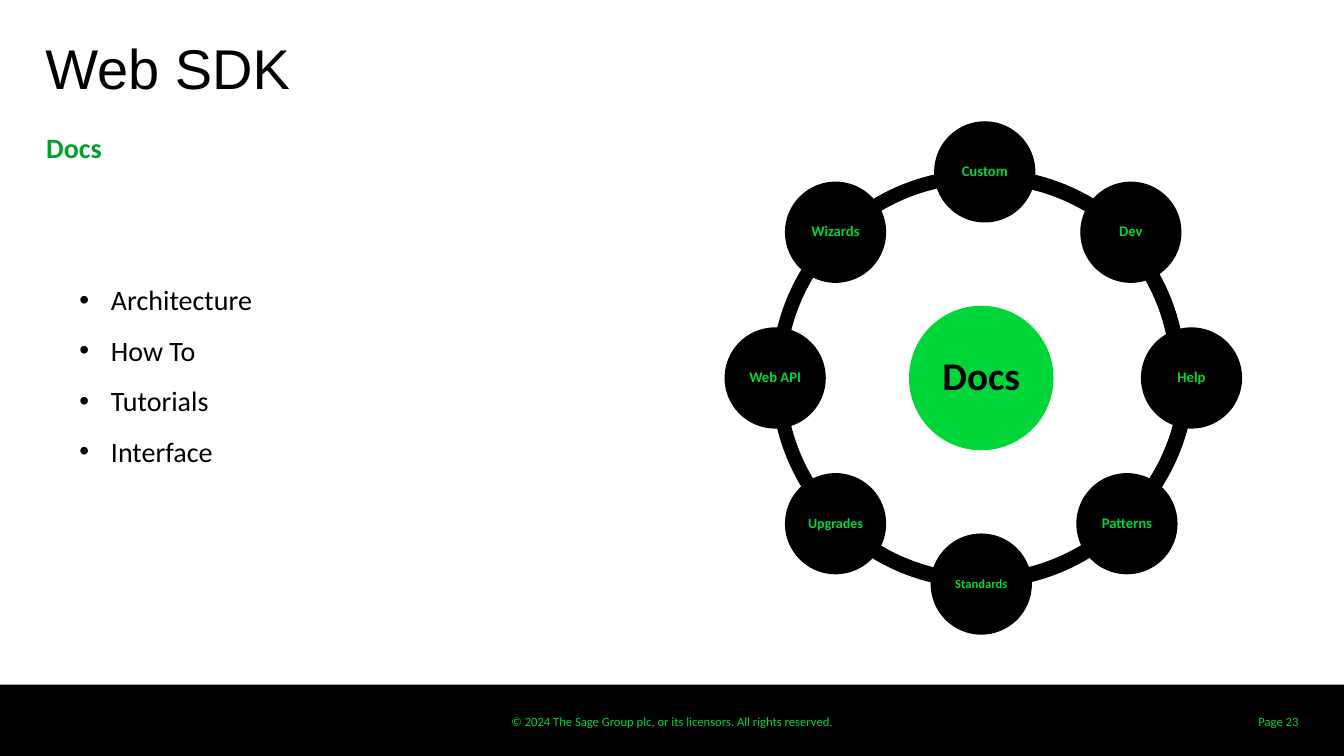
from dataclasses import dataclass
from math import cos, radians, sin

from lxml.etree import SubElement
from pptx import Presentation
from pptx.dml.color import RGBColor
from pptx.enum.shapes import MSO_SHAPE as Preset
from pptx.enum.text import MSO_ANCHOR as Anchor, PP_ALIGN as Align
from pptx.oxml.ns import qn
from pptx.shapes.autoshape import Shape
from pptx.shapes.shapetree import SlideShapes
from pptx.text.text import TextFrame
from pptx.util import Pt


@dataclass(frozen=True)
class Theme:
    black: RGBColor = RGBColor(0x00, 0x00, 0x00)
    bright_green: RGBColor = RGBColor(0x00, 0xD6, 0x39)
    dark_green: RGBColor = RGBColor(0x00, 0xA0, 0x2B)
    heading_font: str = "Arial"
    body_font: str = "Calibri"
    title_size: float = 40
    hub_size: float = 28
    body_size: float = 20
    topic_size: float = 10.5
    upgrades_size: float = 10
    small_size: float = 9


THEME = Theme()


@dataclass(frozen=True)
class Box:
    left: float
    top: float
    width: float
    height: float

    def lengths(self) -> tuple[Pt, Pt, Pt, Pt]:
        return Pt(self.left), Pt(self.top), Pt(self.width), Pt(self.height)


@dataclass(frozen=True)
class TextStyle:
    size: float
    color: RGBColor
    font: str = THEME.body_font
    bold: bool = False
    align: Align = Align.LEFT
    anchor: Anchor = Anchor.TOP
    inset_x: float = 0
    inset_y: float = 3.6
    line_spacing: float = 1.0
    bullet_indent: float = 0


@dataclass(frozen=True)
class Topic:
    name: str
    shift: float = 0
    size: float = THEME.topic_size


@dataclass(frozen=True)
class RingArc:
    start: float
    end: float
    left: float = 550.8
    top: float = 120.4
    outlined: bool = True


SLIDE_WIDTH, SLIDE_HEIGHT = 960, 540
HUB_X, HUB_Y, HUB_DIAMETER = 700.9, 270, 102.24
ORBIT_RADIUS, TOPIC_DIAMETER = 147.2, 71.3
RING_DIAMETER, RING_THICKNESS = 299.5, 0.034
ADJUSTMENT_PER_DEGREE = 0.6

# Clockwise from the top
TOPICS = [
    Topic("Custom", shift=2.5),
    Topic("Dev", shift=2.8),
    Topic("Help", shift=3),
    Topic("Patterns"),
    Topic("Standards", size=THEME.small_size),
    Topic("Upgrades", size=THEME.upgrades_size),
    Topic("Web API"),
    Topic("Wizards"),
]
RING = [
    RingArc(225.3, 271.16, top=121, outlined=False),
    RingArc(180, 225, outlined=False),
    RingArc(135, 180, outlined=False),
    RingArc(90, 135),
    RingArc(45, 90),
    RingArc(1.06, 46.55, left=553.7, top=117.4),
    RingArc(314.89, 359.88, left=547.2, top=118.8),
    RingArc(269.73, 314.72, left=554.4, top=121),
]
GUIDES = ["Architecture", "How To", "Tutorials", "Interface"]


def write_lines(frame: TextFrame, lines: list[str], style: TextStyle) -> None:
    frame.word_wrap = True
    frame.vertical_anchor = style.anchor
    frame.margin_left = frame.margin_right = Pt(style.inset_x)
    frame.margin_top = frame.margin_bottom = Pt(style.inset_y)
    for index, line in enumerate(lines):
        paragraph = frame.add_paragraph() if index else frame.paragraphs[0]
        paragraph.alignment = style.align
        paragraph.line_spacing = style.line_spacing
        if style.bullet_indent:
            properties = paragraph._p.get_or_add_pPr()
            indent = Pt(style.bullet_indent)
            properties.set("marL", str(indent))
            properties.set("indent", str(-indent))
            SubElement(properties, qn("a:buFont"), typeface="Arial")
            SubElement(properties, qn("a:buChar"), char="•")
        run = paragraph.add_run()
        run.text = line
        run.font.name = style.font
        run.font.size = Pt(style.size)
        run.font.bold = style.bold
        run.font.color.rgb = style.color


def add_text(shapes: SlideShapes, box: Box, lines: list[str], style: TextStyle) -> None:
    write_lines(shapes.add_textbox(*box.lengths()).text_frame, lines, style)


def add_solid(shapes: SlideShapes, preset: Preset, box: Box, color: RGBColor,
              line_width: float = 0) -> Shape:
    solid = shapes.add_shape(preset, *box.lengths())
    solid.shadow.inherit = False
    solid.fill.solid()
    solid.fill.fore_color.rgb = color
    if line_width:
        solid.line.color.rgb = color
        solid.line.width = Pt(line_width)
    else:
        solid.line.fill.background()
    return solid


def add_disc(shapes: SlideShapes, center_x: float, center_y: float, diameter: float,
             fill: RGBColor, label: str, size: float, color: RGBColor) -> None:
    box = Box(center_x - diameter / 2, center_y - diameter / 2, diameter, diameter)
    disc = add_solid(shapes, Preset.OVAL, box, fill, 1)
    write_lines(disc.text_frame, [label], TextStyle(
        size, color, bold=True, align=Align.CENTER, anchor=Anchor.MIDDLE,
        inset_x=1, inset_y=1, line_spacing=0.9))


def add_ring(shapes: SlideShapes) -> None:
    for arc in RING:
        box = Box(arc.left, arc.top, RING_DIAMETER, RING_DIAMETER)
        band = add_solid(shapes, Preset.BLOCK_ARC, box, THEME.black,
                         0.75 if arc.outlined else 0)
        band.adjustments[0] = arc.start * ADJUSTMENT_PER_DEGREE
        band.adjustments[1] = arc.end * ADJUSTMENT_PER_DEGREE
        band.adjustments[2] = RING_THICKNESS


def add_docs_wheel(shapes: SlideShapes) -> None:
    """Draw the ring, the hub and the topics spread evenly around it."""
    add_ring(shapes)
    add_disc(shapes, HUB_X, HUB_Y, HUB_DIAMETER, THEME.bright_green,
             "Docs", THEME.hub_size, THEME.black)
    for index, topic in enumerate(TOPICS):
        angle = radians(index * 360 / len(TOPICS) - 90)
        add_disc(shapes, HUB_X + ORBIT_RADIUS * cos(angle) + topic.shift,
                 HUB_Y + ORBIT_RADIUS * sin(angle), TOPIC_DIAMETER, THEME.black,
                 topic.name, topic.size, THEME.bright_green)


def add_footer(shapes: SlideShapes) -> None:
    add_solid(shapes, Preset.RECTANGLE, Box(0, 489, SLIDE_WIDTH, 51), THEME.black)
    add_text(shapes, Box(354, 506.2, 252, 18),
             ["© 2024 The Sage Group plc, or its licensors. All rights reserved."],
             TextStyle(THEME.small_size, THEME.bright_green,
                       align=Align.CENTER, anchor=Anchor.BOTTOM))
    add_text(shapes, Box(869, 501.1, 65.5, 28.8), ["Page 23"],
             TextStyle(THEME.small_size, THEME.bright_green, align=Align.RIGHT,
                       anchor=Anchor.MIDDLE, inset_x=7.2))


def main() -> None:
    deck = Presentation()
    deck.slide_width, deck.slide_height = Pt(SLIDE_WIDTH), Pt(SLIDE_HEIGHT)
    shapes = deck.slides.add_slide(deck.slide_layouts[6]).shapes
    add_footer(shapes)
    add_text(shapes, Box(32.4, 23.8, 894, 46.8), ["Web SDK"],
             TextStyle(THEME.title_size, THEME.black, THEME.heading_font, inset_y=0))
    add_text(shapes, Box(33, 90, 893.5, 34.6), ["Docs"],
             TextStyle(THEME.body_size, THEME.dark_green, bold=True))
    add_text(shapes, Box(49.7, 186.5, 382.3, 147.6), GUIDES,
             TextStyle(THEME.body_size, THEME.black, inset_x=7.2,
                       line_spacing=1.5, bullet_indent=22.5))
    add_docs_wheel(shapes)
    deck.save("out.pptx")


if __name__ == "__main__":
    main()
